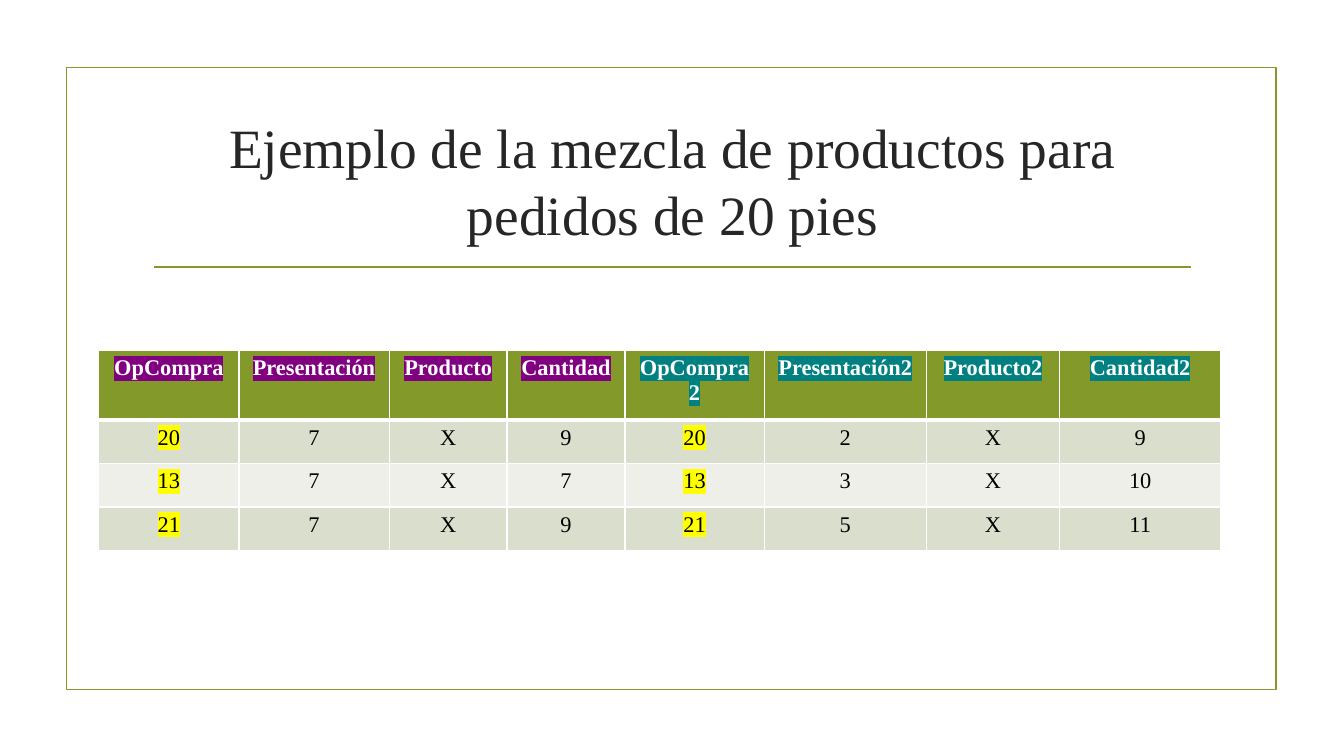
from dataclasses import dataclass

from lxml.etree import SubElement
from pptx import Presentation
from pptx.dml.color import RGBColor
from pptx.enum.shapes import MSO_CONNECTOR, MSO_SHAPE
from pptx.enum.text import MSO_ANCHOR, MSO_AUTO_SIZE, PP_ALIGN
from pptx.oxml.ns import qn
from pptx.util import Inches, Pt

FONT = "Times New Roman"
HUES = {
    "olive": "83992A", "ink": "262626", "black": "000000", "white": "FFFFFF",
    "band": "D9DECD", "pale": "EDEFE8",
    "purple": "800080", "teal": "008080", "yellow": "FFFF00",
}


@dataclass
class Column:
    head: str
    width: float
    mark: str
    values: tuple[str, ...]
    key: bool = False


COLUMNS = [
    Column("OpCompra", 1.39, "purple", ("20", "13", "21"), key=True),
    Column("Presentación", 1.49, "purple", ("7", "7", "7")),
    Column("Producto", 1.17, "purple", ("X", "X", "X")),
    Column("Cantidad", 1.17, "purple", ("9", "7", "9")),
    Column("OpCompra2", 1.38, "teal", ("20", "13", "21"), key=True),
    Column("Presentación2", 1.61, "teal", ("2", "3", "5")),
    Column("Producto2", 1.32, "teal", ("X", "X", "X")),
    Column("Cantidad2", 1.6, "teal", ("9", "10", "11")),
]
HEIGHTS = [0.69, 0.43, 0.43, 0.43]


def color(name: str) -> RGBColor:
    return RGBColor.from_string(HUES[name])


def write(frame, text: str, *, size: float, hue: str,
          bold: bool = False, mark: str | None = None) -> None:
    """Put one centred run in a text frame."""
    para = frame.paragraphs[0]
    para.alignment = PP_ALIGN.CENTER
    run = para.add_run()
    run.text = text
    font = run.font
    font.size, font.bold = Pt(size), bold
    font.color.rgb = color(hue)
    if mark:
        light = SubElement(run._r.get_or_add_rPr(), qn("a:highlight"))
        SubElement(light, qn("a:srgbClr"), val=HUES[mark])
    font.name = FONT


def stroke(shape) -> None:
    shape.line.color.rgb = color("olive")
    shape.line.width = Pt(1.25)


def edge(cell, base: float) -> None:
    """Draw white borders, with the given width at the bottom."""
    props = cell._tc.get_or_add_tcPr()
    sides = {"lnL": 1, "lnR": 1, "lnT": 1, "lnB": base}
    for spot, (side, width) in enumerate(sides.items()):
        line = SubElement(props, qn(f"a:{side}"), w=str(Pt(width)))
        fill = SubElement(line, qn("a:solidFill"))
        SubElement(fill, qn("a:srgbClr"), val=HUES["white"])
        props.insert(spot, line)


def paint(cell, text: str, fill: str, *, base: float = 1, **form) -> None:
    cell.fill.solid()
    cell.fill.fore_color.rgb = color(fill)
    edge(cell, base)
    write(cell.text_frame, text, size=16, **form)


def draw_frame(slide) -> None:
    box = slide.shapes.add_shape(MSO_SHAPE.RECTANGLE, Inches(0.66), Inches(0.67),
                                 Inches(12), Inches(6.17))
    box.shadow.inherit = False
    box.fill.background()
    stroke(box)
    rule = slide.shapes.add_connector(MSO_CONNECTOR.STRAIGHT, Inches(1.53), Inches(2.65),
                                      Inches(11.81), Inches(2.65))
    stroke(rule)
    SubElement(rule._element.spPr, qn("a:effectLst"))


def draw_title(slide) -> None:
    title = slide.shapes.title
    title.left, title.top = Inches(1.42), Inches(1.07)
    title.width, title.height = Inches(10.5), Inches(1.43)
    frame = title.text_frame
    frame.word_wrap = True
    frame.auto_size = MSO_AUTO_SIZE.NONE
    frame.vertical_anchor = MSO_ANCHOR.MIDDLE
    write(frame, "Ejemplo de la mezcla de productos para pedidos de 20 pies",
          size=39.6, hue="ink")


def draw_table(slide) -> None:
    width = sum(col.width for col in COLUMNS)
    table = slide.shapes.add_table(len(HEIGHTS), len(COLUMNS), Inches(0.98), Inches(3.48),
                                   Inches(width), Inches(sum(HEIGHTS))).table
    for row, height in zip(table.rows, HEIGHTS):
        row.height = Inches(height)
    for x, col in enumerate(COLUMNS):
        table.columns[x].width = Inches(col.width)
        paint(table.cell(0, x), col.head, "olive", base=3,
              hue="white", bold=True, mark=col.mark)
        for y, value in enumerate(col.values, 1):
            paint(table.cell(y, x), value, "band" if y % 2 else "pale",
                  hue="black", mark="yellow" if col.key else None)


def main() -> None:
    deck = Presentation()
    deck.slide_width, deck.slide_height = Inches(13.33), Inches(7.5)
    slide = deck.slides.add_slide(deck.slide_layouts[5])
    # Border and rule
    draw_frame(slide)
    # Heading
    draw_title(slide)
    # Product mix
    draw_table(slide)
    deck.save("out.pptx")


if __name__ == "__main__":
    main()
